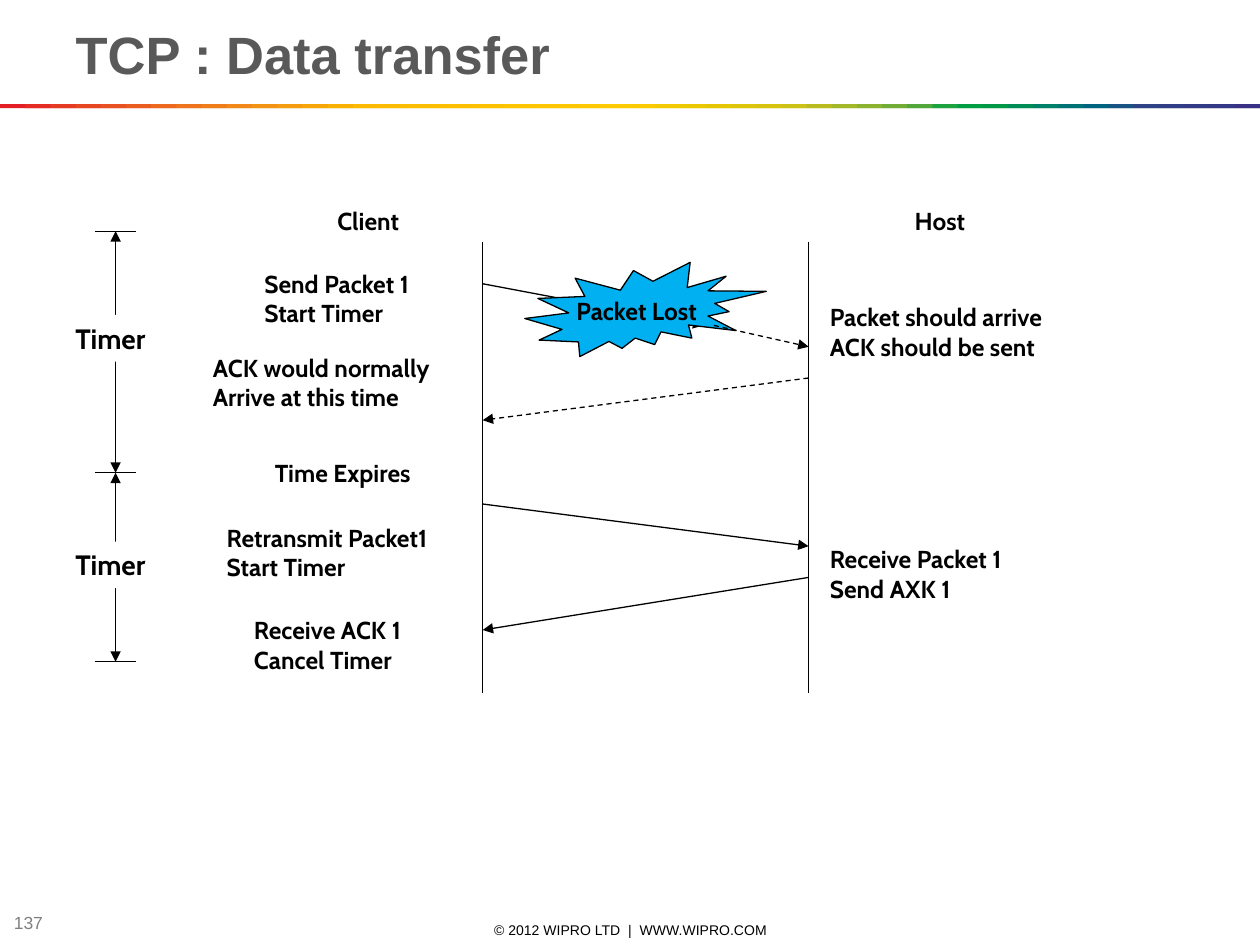
from lxml import etree
from pptx import Presentation
from pptx.dml.color import RGBColor
from pptx.enum import dml, shapes, text
from pptx.oxml.ns import qn
from pptx.util import Cm, Pt

WIDTH, HEIGHT = 25.4, 19.05
BLACK, WHITE, GREY = "000000", "FFFFFF", "808080"
TITLE = "TCP : Data transfer"
FOOTER = "© 2012 WIPRO LTD  |  WWW.WIPRO.COM"
PAGE = "137"
RAINBOW = """
E31E24 E42C24 E53A24 E74623 E85122 EA5D21 EC691F EE741D EF7E1A F18817
F39314 F49C0F F6A607 F8B002 FBBA00 FBBB00 FBBD00 FCBF00 FCC000 FCC200
FDC400 FDC600 FDC700 FEC900 FECB00 FBCB00 F3CA00 ECC800 E4C602 DCC50A
D5C30E CCC117 B8BC21 A3B829 8CB230 71AD36 51A73B 1DA240 009D43 009846
008C57 008068 007275 00637F 185384 2E4285 313E85 333B85 353885 393185
""".split()

# All lengths in cm
CLIENT_X, HOST_X = 9.73, 16.3
LIFELINE_TOP, LIFELINE_BOTTOM = 4.87, 13.97
TIMER_X, TICK = 2.33, 0.84
TIMER_MARKS = [4.66, 9.53, 13.34]
TIMER_LABEL_TOPS = [6.35, 10.92]

STEPS = [  # left, top, width, lines
    (18.19, 4.02, 1.65, ["Host"]),
    (6.55, 4.02, 1.96, ["Client"]),
    (5.08, 5.29, 4.04, ["Send Packet 1", "Start Timer"]),
    (4.32, 10.41, 5.44, ["Retransmit Packet1", "Start Timer"]),
    (16.48, 5.97, 5.74, ["Packet should arrive", "ACK should be sent"]),
    (4.04, 6.99, 5.54, ["ACK would normally", "Arrive at this time"]),
    (16.48, 10.85, 4.72, ["Receive Packet 1", "Send AXK 1"]),
    (5.29, 9.1, 3.71, ["Time Expires"]),
    (4.87, 12.28, 4.06, ["Receive ACK 1", "Cancel Timer"]),
]
MESSAGES = [  # start, end, dashed
    ((CLIENT_X, 5.72), (14.18, 6.56), False),
    ((HOST_X, 7.62), (CLIENT_X, 8.47), True),
    ((CLIENT_X, 10.16), (HOST_X, 11.01), False),
    ((HOST_X, 11.64), (CLIENT_X, 12.7), False),
]
LOST_PACKET = ((14.39, 6.56), (HOST_X, 6.99), True)


def color(value):
    return RGBColor.from_string(value)


def write(shape, lines, size, font="Cabin", ink=BLACK, bold=True, align=text.PP_ALIGN.LEFT,
          anchor=text.MSO_ANCHOR.TOP, wrap=False):
    frame = shape.text_frame
    frame.word_wrap = wrap
    frame.vertical_anchor = anchor
    for i, line in enumerate(lines):
        paragraph = frame.add_paragraph() if i else frame.paragraphs[0]
        paragraph.alignment = align
        run = paragraph.add_run()
        run.text = line
        run.font.name, run.font.size, run.font.bold = font, Pt(size), bold
        run.font.color.rgb = color(ink)


def add_block(slide, kind, left, top, width, height, fill):
    block = slide.shapes.add_shape(kind, Cm(left), Cm(top), Cm(width), Cm(height))
    block.shadow.inherit = False
    block.fill.solid()
    block.fill.fore_color.rgb = color(fill)
    block.line.fill.background()
    return block


def add_label(slide, left, top, width, height, lines, size, **style):
    box = slide.shapes.add_textbox(Cm(left), Cm(top), Cm(width), Cm(height))
    write(box, lines, size, **style)
    return box


def add_line(slide, start, end, dashed=False, arrows=()):
    """Draw a thin black line; arrows may hold headEnd (start) and tailEnd (end)."""
    line = slide.shapes.add_connector(
        shapes.MSO_CONNECTOR.STRAIGHT, *[Cm(v) for v in (*start, *end)])
    line.line.color.rgb = color(BLACK)
    line.line.width = Pt(0.75)
    if dashed:
        line.line.dash_style = dml.MSO_LINE.DASH
    properties = line._element.spPr
    for arrow in arrows:
        etree.SubElement(properties.find(qn("a:ln")), qn("a:" + arrow), type="triangle")
    etree.SubElement(properties, qn("a:effectLst"))


def add_frame(slide):
    """Title, rainbow rule, footer and page number."""
    middle = text.MSO_ANCHOR.MIDDLE
    add_label(slide, 8.69, 18.54, 8.05, 0.41, [FOOTER], 8, font="Arial", bold=False,
              align=text.PP_ALIGN.CENTER, anchor=middle)
    add_label(slide, 0.03, 18.34, 1.9, 0.53, [PAGE], 10, font="Arial", ink=GREY,
              bold=False, anchor=middle, wrap=True)
    step = WIDTH / len(RAINBOW)
    for i, shade in enumerate(RAINBOW):
        left = i * step
        add_block(slide, shapes.MSO_SHAPE.RECTANGLE, left, 2.1,
                  min(2 * step, WIDTH - left), 0.08, shade)
    title = slide.shapes.title
    title.left, title.top, title.width, title.height = Cm(1.27), Cm(0.3), Cm(22.86), Cm(1.55)
    write(title, [TITLE], 30, font="Arial", ink="595959", anchor=middle, wrap=True)


def add_exchange(slide):
    for x in (CLIENT_X, HOST_X):
        add_line(slide, (x, LIFELINE_TOP), (x, LIFELINE_BOTTOM))
    for left, top, width, lines in STEPS:
        box = add_label(slide, left, top, width, 0.24 + 0.6 * len(lines), lines, 14)
        box.text_frame.auto_size = text.MSO_AUTO_SIZE.SHAPE_TO_FIT_TEXT
    for start, end, dashed in MESSAGES:
        add_line(slide, start, end, dashed, ["tailEnd"])
    burst = add_block(slide, shapes.MSO_SHAPE.EXPLOSION2, 10.58, 5.29, 4.87, 1.9, "00B0F0")
    burst.line.color.rgb = color(BLACK)
    burst.line.width = Pt(0.75)
    write(burst, ["Packet Lost"], 14, align=text.PP_ALIGN.CENTER, anchor=text.MSO_ANCHOR.MIDDLE)
    start, end, dashed = LOST_PACKET
    add_line(slide, start, end, dashed, ["tailEnd"])


def add_timers(slide):
    for y in TIMER_MARKS:
        add_line(slide, (TIMER_X - TICK / 2, y), (TIMER_X + TICK / 2, y))
    for top, bottom, label_top in zip(TIMER_MARKS, TIMER_MARKS[1:], TIMER_LABEL_TOPS):
        add_line(slide, (TIMER_X, top), (TIMER_X, bottom), arrows=["headEnd", "tailEnd"])
        label = add_block(slide, shapes.MSO_SHAPE.RECTANGLE, 1.27, label_top, 2.16, 0.94, WHITE)
        write(label, ["Timer"], 16)


def main():
    deck = Presentation()
    deck.slide_width, deck.slide_height = Cm(WIDTH), Cm(HEIGHT)
    slide = deck.slides.add_slide(deck.slide_layouts[5])
    add_frame(slide)
    add_exchange(slide)
    add_timers(slide)
    deck.save("out.pptx")


if __name__ == "__main__":
    main()
